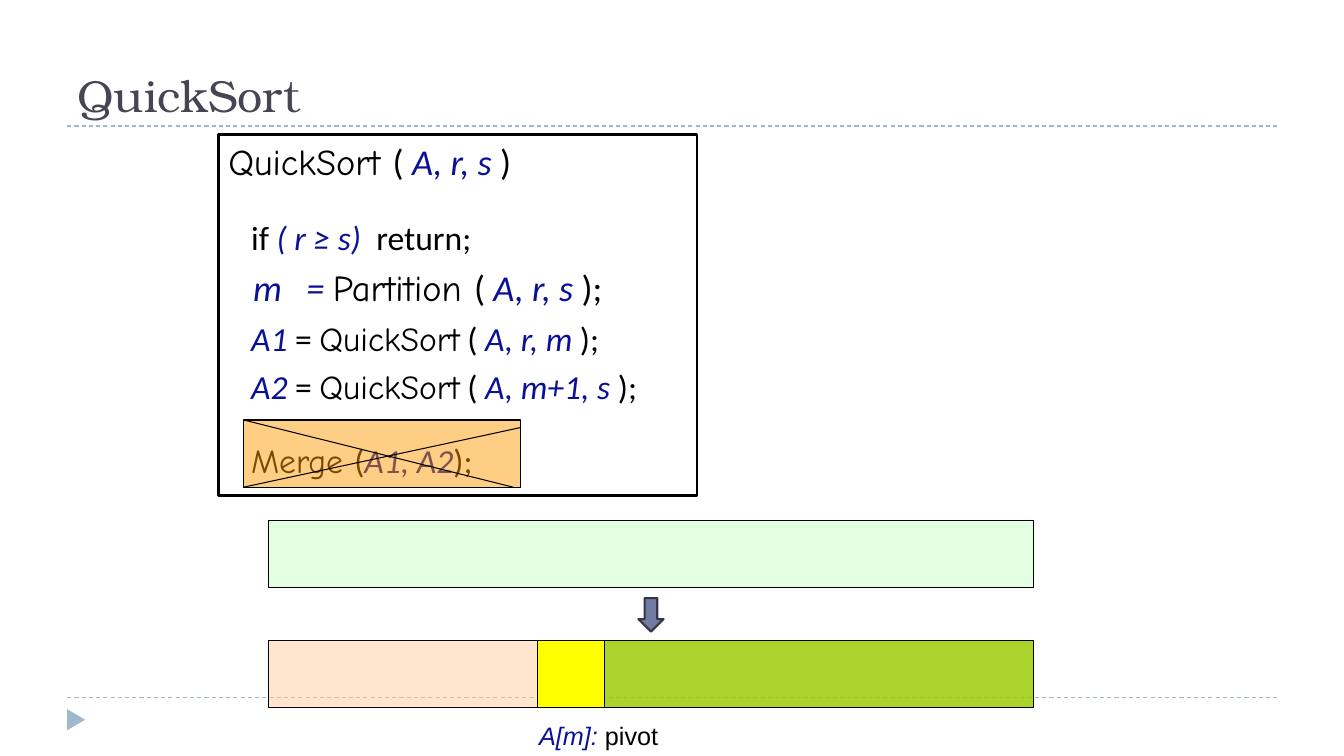
from lxml.etree import SubElement
from pptx import Presentation
from pptx.dml.color import RGBColor
from pptx.enum.dml import MSO_LINE
from pptx.enum.shapes import MSO_CONNECTOR, MSO_SHAPE
from pptx.enum.text import MSO_ANCHOR, PP_ALIGN
from pptx.oxml.ns import qn
from pptx.util import Inches, Pt

BLACK, NAVY, RULE = "000000", "0B1196", "9FB8CD"
SANS, HAND = "Calibri", "Comic Neue"


def paint(color_format, color, opacity=100):
    color_format.rgb = RGBColor.from_string(color)


def cells(*counts):
    return [Inches(count / 12) for count in counts]


presentation = Presentation()
presentation.slide_width, presentation.slide_height = cells(160, 90)
slide = presentation.slides.add_slide(presentation.slide_layouts[6])

rules = [(slide.shapes, (8, y, 152, y), RULE, MSO_LINE.DASH) for y in (83, 15)]

boxes = [
    (slide.shapes, MSO_SHAPE.ISOSCELES_TRIANGLE, (7.8, 84.6, 2.52, 2.16), RULE, 100, None, 0),
    (slide.shapes, MSO_SHAPE.RECTANGLE, (26, 16, 57, 43), None, 100, BLACK, 1.75),
    (slide.shapes, MSO_SHAPE.RECTANGLE, (32, 62, 91, 8), "CCFFCC", 56, BLACK, 0.75),
]
partition_left = 32
for width, color, opacity in ((32, "FFCC99", 49), (8, "FFFF00", 100), (51, "99CC00", 83)):
    boxes.append((slide.shapes, MSO_SHAPE.RECTANGLE, (partition_left, 76.2, width, 8),
                  color, opacity, BLACK, 0.75))
    partition_left += width
boxes += [
    (slide.shapes, MSO_SHAPE.DOWN_ARROW, (76, 71.2, 3, 4), "727CA3", 100, "323647", 1.5),
    (slide.shapes, MSO_SHAPE.RECTANGLE, (29, 50, 33, 8), "FF9900", 48, BLACK, 0.75),
]
strikes = [(slide.shapes, ends, BLACK, MSO_LINE.SOLID)
           for ends in ((29, 50, 61.1, 58), (29, 58, 62, 50.9))]

drawn = []
for step in rules + boxes + strikes:
    if len(step) == 4:
        shapes, ends, color, dash = step
        line = shapes.add_connector(MSO_CONNECTOR.STRAIGHT, *cells(*ends))
        paint(line.line.color, color)
        line.line.width = Pt(0.75)
        line.line.dash_style = dash
        SubElement(line._element.spPr, qn("a:effectLst"))
        continue
    shapes, kind, area, fill, opacity, outline, weight = step
    shape = shapes.add_shape(kind, *cells(*area))
    shape.shadow.inherit = False
    if fill:
        shape.fill.solid()
        paint(shape.fill.fore_color, fill)
        if opacity < 100:
            tint = shape._element.spPr.find(qn("a:solidFill"))[0]
            SubElement(tint, qn("a:alpha")).set("val", str(opacity * 1000))
    else:
        shape.fill.background()
    if outline:
        paint(shape.line.color, outline)
        shape.line.width = Pt(weight)
    else:
        shape.line.fill.background()
    drawn.append(shape)
marker, code_box = drawn[:2]
marker.rotation = 90

title = slide.shapes.add_textbox(*cells(8, 2, 144, 13))
pivot_label = slide.shapes.add_textbox(*cells(63, 85.2, 34, 4.8))

code_lines = [
    (26, 0, [("QuickSort ", HAND), ("( ", SANS), ("A, r, s ", None), (")", SANS)]),
    (24, 24, [("   if ", SANS), ("( r ≥ s)", None), ("  return;", SANS)]),
    (26, 6, [("   ", SANS), ("m   = ", None), ("Partition ", HAND), ("( ", SANS),
             ("A, r, s ", None), (");", SANS)]),
]
for half, arguments in (("A1", "A, r, m "), ("A2", "A, m+1, s ")):
    code_lines.append((24, 6, [("   ", SANS), (half, None), (" = ", SANS), ("QuickSort", HAND),
                               (" ( ", SANS), (arguments, None), (");", SANS)]))
code_lines.append((24, 24, [("   ", SANS), ("Merge ", HAND), ("(", SANS),
                            ("A1, A2", None), (");", SANS)]))

texts = [
    (title, MSO_ANCHOR.BOTTOM, SANS, "464653",
     [(32, 0, [("QuickSort", "TeX Gyre Bonum")])]),
    (code_box, MSO_ANCHOR.TOP, SANS, BLACK, code_lines),
    (pivot_label, MSO_ANCHOR.TOP, "Arial", BLACK,
     [(18, 0, [("A[m]: ", None), ("pivot", "Arial")])]),
]
for shape, anchor, variable_font, color, lines in texts:
    text_frame = shape.text_frame
    text_frame.word_wrap = True
    text_frame.vertical_anchor = anchor
    for index, (size, space, pieces) in enumerate(lines):
        paragraph = text_frame.add_paragraph() if index else text_frame.paragraphs[0]
        paragraph.alignment = PP_ALIGN.LEFT
        paragraph.space_before = Pt(space)
        for words, font_name in pieces:
            run = paragraph.add_run()
            run.text = words
            run.font.size = Pt(size)
            run.font.name = font_name or variable_font
            run.font.italic = font_name is None
            paint(run.font.color, color if font_name else NAVY)

presentation.save("out.pptx")
